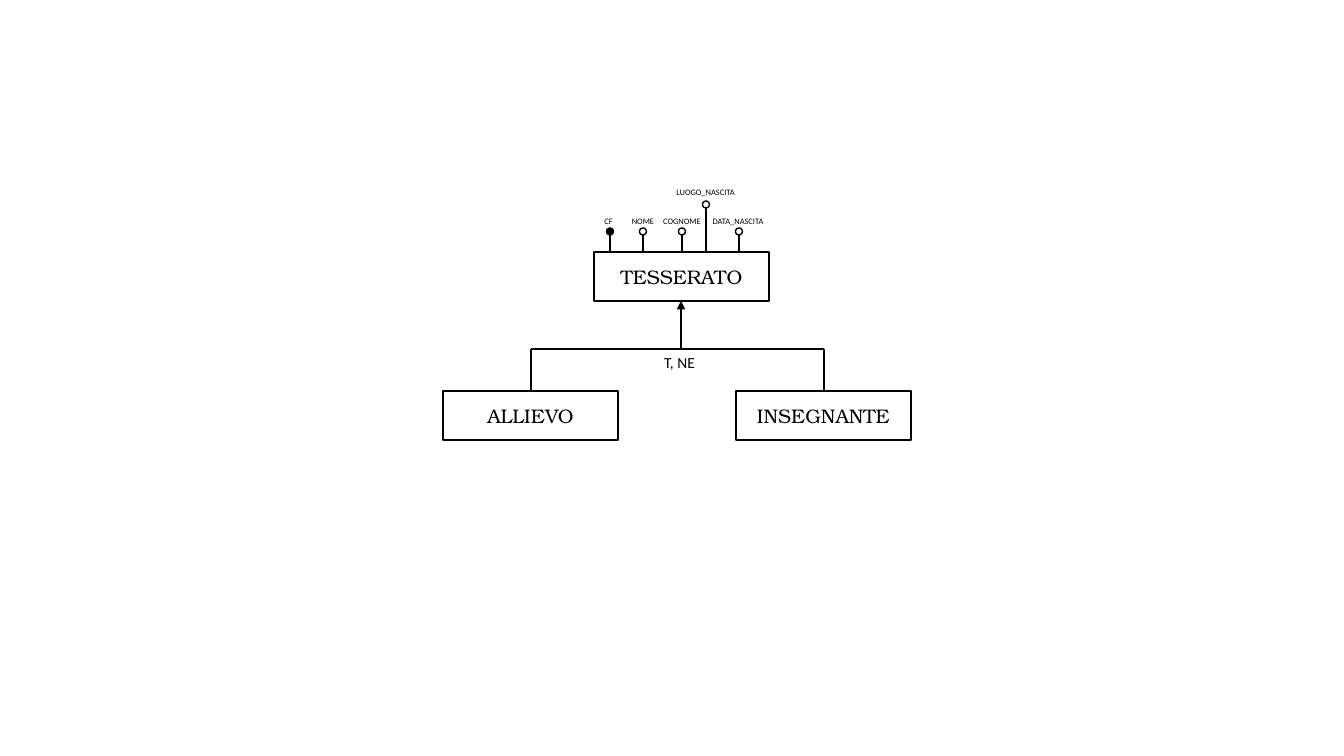
from lxml.etree import SubElement
from pptx import Presentation
from pptx.dml.color import RGBColor
from pptx.enum.shapes import MSO_CONNECTOR as CONNECTOR, MSO_SHAPE as SHAPE
from pptx.enum.text import MSO_ANCHOR as ANCHOR, PP_ALIGN as ALIGN
from pptx.oxml.ns import qn
from pptx.util import Pt

PX = 914400 / 100.8
BLACK = RGBColor(0, 0, 0)
WHITE = RGBColor(255, 255, 255)

deck = Presentation()
deck.slide_width, deck.slide_height = round(1344 * PX), round(756 * PX)
slide = deck.slides.add_slide(deck.slide_layouts[6])


def add_block(text="", *, box, shape=None, fill=WHITE, font="Calibri", size=6, anchor=ANCHOR.TOP):
    place = [round(n * PX) for n in box]
    if shape is None:
        block = slide.shapes.add_textbox(*place)
    else:
        block = slide.shapes.add_shape(shape, *place)
        block.shadow.inherit = False
        block.fill.solid()
        block.fill.fore_color.rgb = fill
        block.line.color.rgb = BLACK
        block.line.width = Pt(1)
    if text:
        frame = block.text_frame
        frame.word_wrap = shape is not None
        frame.margin_left = frame.margin_right = 0
        frame.vertical_anchor = anchor
        paragraph = frame.paragraphs[0]
        paragraph.alignment = ALIGN.CENTER
        run = paragraph.add_run()
        run.text = text
        run.font.name, run.font.size = font, Pt(size)
        run.font.color.rgb = BLACK


def add_line(*ends, arrow=False):
    line = slide.shapes.add_connector(CONNECTOR.STRAIGHT, *[round(n * PX) for n in ends])
    line.line.color.rgb = BLACK
    line.line.width = Pt(1)
    SubElement(line._element.spPr, qn("a:effectLst"))
    if arrow:
        SubElement(line.line._get_or_add_ln(), qn("a:tailEnd"), type="triangle")


ENTITY_W, ENTITY_H = 175, 49
PARENT_TOP, BRANCH_Y, CHILD_TOP = 252, 349, 391
PARENT_X, ALLIEVO_X, INSEGNANTE_X = 681, 531, 824

entities = [
    ("TESSERATO", 594, PARENT_TOP),
    ("ALLIEVO", 443, CHILD_TOP),
    ("INSEGNANTE", 736, CHILD_TOP),
]
for entity, left, top in entities:
    add_block(entity, box=(left, top, ENTITY_W, ENTITY_H), shape=SHAPE.RECTANGLE,
              font="TeX Gyre Bonum", size=14, anchor=ANCHOR.MIDDLE)

for child_x in (ALLIEVO_X, INSEGNANTE_X):
    add_line(child_x, CHILD_TOP, child_x, BRANCH_Y)
add_line(ALLIEVO_X, BRANCH_Y, INSEGNANTE_X, BRANCH_Y)
add_line(PARENT_X, BRANCH_Y, PARENT_X, PARENT_TOP + ENTITY_H, arrow=True)

DOT, LABEL_H = 7, 20
attributes = [
    ("CF", 610, 228, BLACK, 594, 211, 29),
    ("NOME", 643, 228, WHITE, 622, 211, 42),
    ("COGNOME", 682, 228, WHITE, 653, 211, 58),
    ("DATA_NASCITA", 739, 228, WHITE, 701, 211, 74),
    ("LUOGO_NASCITA", 706, 201, WHITE, 665, 182, 81),
]
for attribute, x, dot_top, fill, label_left, label_top, label_w in attributes:
    add_line(x, PARENT_TOP, x, dot_top + DOT)
    add_block(box=(x - DOT / 2, dot_top, DOT, DOT), shape=SHAPE.OVAL, fill=fill)
    add_block(attribute, box=(label_left, label_top, label_w, LABEL_H))

add_block("T, NE", box=(653, 348, 53, 29), size=11)

deck.save("out.pptx")
